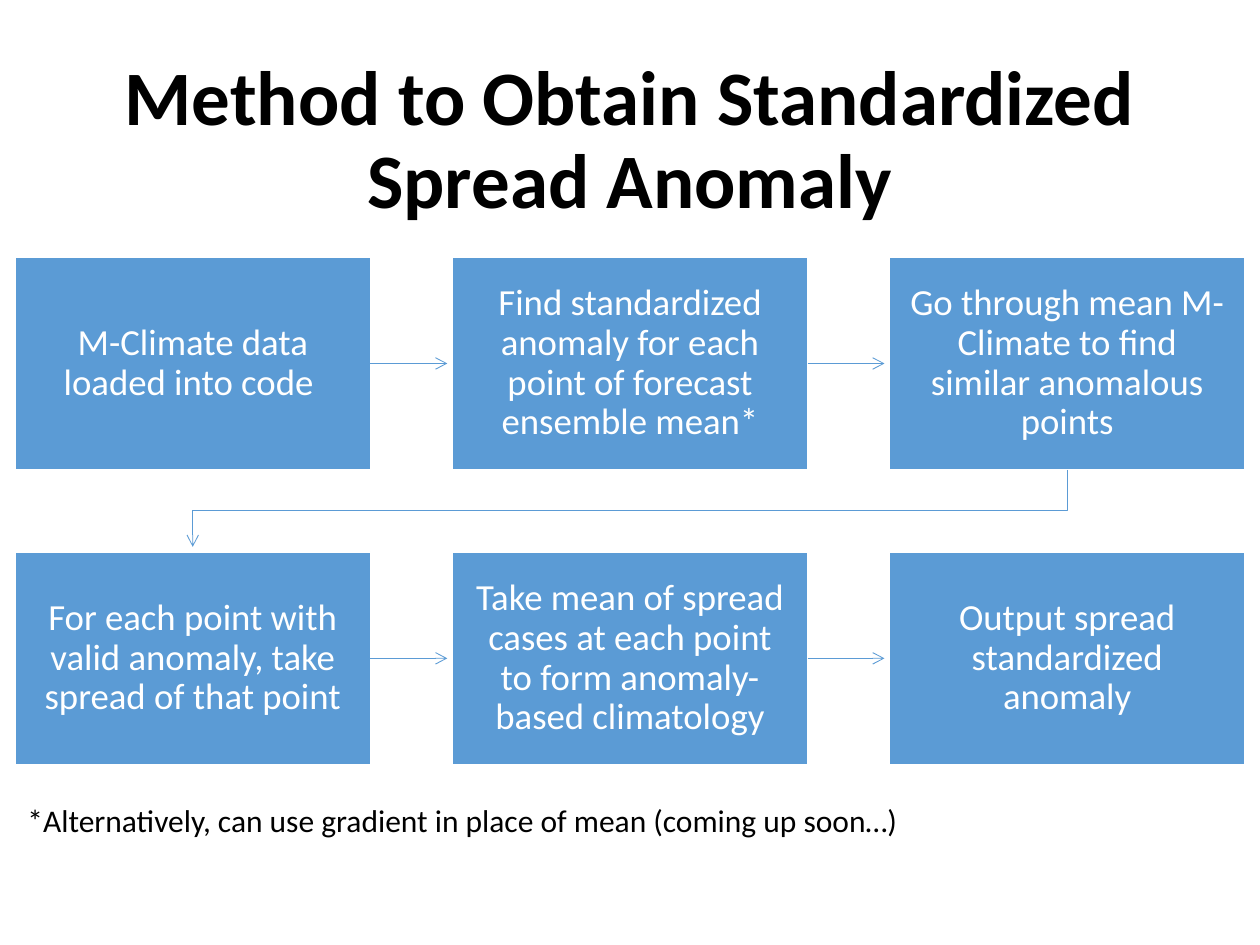
from pptx import Presentation
from pptx.dml.color import RGBColor
from pptx.enum.shapes import MSO_CONNECTOR, MSO_SHAPE
from pptx.enum.text import MSO_ANCHOR, PP_ALIGN
from pptx.oxml.ns import qn
from pptx.util import Inches, Pt
from lxml import etree

TITLE = "Method to Obtain Standardized Spread Anomaly"
STEPS = [
    "M-Climate data loaded into code ",
    "Find standardized anomaly for each point of forecast ensemble mean*",
    "Go through mean M-Climate to find similar anomalous points",
    "For each point with valid anomaly, take spread of that point",
    "Take mean of spread cases at each point to form anomaly-based climatology",
    "Output spread standardized anomaly",
]
NOTE = "*Alternatively, can use gradient in place of mean (coming up soon…)"

BLUE = RGBColor(0x5B, 0x9B, 0xD5)
WHITE = RGBColor(0xFF, 0xFF, 0xFF)
BLACK = RGBColor(0, 0, 0)
RECT = MSO_SHAPE.RECTANGLE
LINE = MSO_CONNECTOR.STRAIGHT
MIDDLE = MSO_ANCHOR.MIDDLE
CENTER = PP_ALIGN.CENTER
FONT = "Calibri"

COLS = 3
LEFT, TOP = 0.12, 2.04
WIDE, HIGH = 2.82, 1.69
STEP_X, STEP_Y = 3.47, 2.34
GAP = 0.04
INSET = 0.16


def write(shape, text, size, color, bold=False):
    frame = shape.text_frame
    frame.word_wrap = True
    frame.text = text
    para = frame.paragraphs[0]
    font = para.runs[0].font
    font.name, font.size, font.bold = FONT, Pt(size), bold
    font.color.rgb = color
    return frame, para


def center(frame, para):
    frame.vertical_anchor = MIDDLE
    para.alignment = CENTER
    para.line_spacing = 0.9


def style(arrow):
    arrow.line.color.rgb = BLUE
    arrow.line.width = Pt(0.5)
    props = arrow.element.spPr
    etree.SubElement(props.find(qn("a:ln")), qn("a:tailEnd"), type="arrow")
    if props.find(qn("a:effectLst")) is None:
        etree.SubElement(props, qn("a:effectLst"))


def place(num):
    row, col = divmod(num, COLS)
    return LEFT + col * STEP_X, TOP + row * STEP_Y


def add_step(shapes, num, text):
    x, y = place(num)
    box = shapes.add_shape(RECT, Inches(x), Inches(y), Inches(WIDE), Inches(HIGH))
    box.shadow.inherit = False
    box.fill.solid()
    box.fill.fore_color.rgb = BLUE
    box.line.color.rgb = WHITE
    box.line.width = Pt(1)
    frame, para = write(box, text, 21, WHITE)
    center(frame, para)
    frame.margin_left = frame.margin_right = Inches(INSET)
    frame.margin_top = frame.margin_bottom = Inches(INSET)
    return box


def add_arrow(shapes, num, box):
    x, y = place(num)
    mid = Inches(y + HIGH / 2)
    arrow = shapes.add_connector(
        LINE, Inches(x + WIDE), mid, Inches(x + STEP_X - GAP), mid)
    arrow.begin_connect(box, 3)
    style(arrow)


def add_turn(shapes, num):
    x, y = place(num)
    end_x, end_y = place(num + 1)
    x, end_x = x + WIDE / 2, end_x + WIDE / 2
    y += HIGH
    mid = (y + end_y) / 2
    points = [(x, mid), (end_x, mid), (end_x, end_y - GAP)]
    path = shapes.build_freeform(Inches(x), Inches(y))
    path.add_line_segments([(Inches(a), Inches(b)) for a, b in points], close=False)
    turn = path.convert_to_shape()
    turn.shadow.inherit = False
    turn.fill.background()
    style(turn)


def main():
    deck = Presentation()
    deck.slide_width, deck.slide_height = Inches(10), Inches(7.5)
    shapes = deck.slides.add_slide(deck.slide_layouts[6]).shapes

    title = shapes.add_textbox(Inches(0.69), Inches(0.4), Inches(8.62), Inches(1.45))
    center(*write(title, TITLE, 44, BLACK, True))

    boxes = [add_step(shapes, num, text) for num, text in enumerate(STEPS)]
    for num, box in enumerate(boxes[:-1]):
        if num % COLS < COLS - 1:
            add_arrow(shapes, num, box)
        else:
            add_turn(shapes, num)

    note = shapes.add_textbox(Inches(LEFT), Inches(6.31), Inches(9.77), Inches(0.4))
    write(note, NOTE, 18, BLACK)
    deck.save("out.pptx")


if __name__ == "__main__":
    main()
